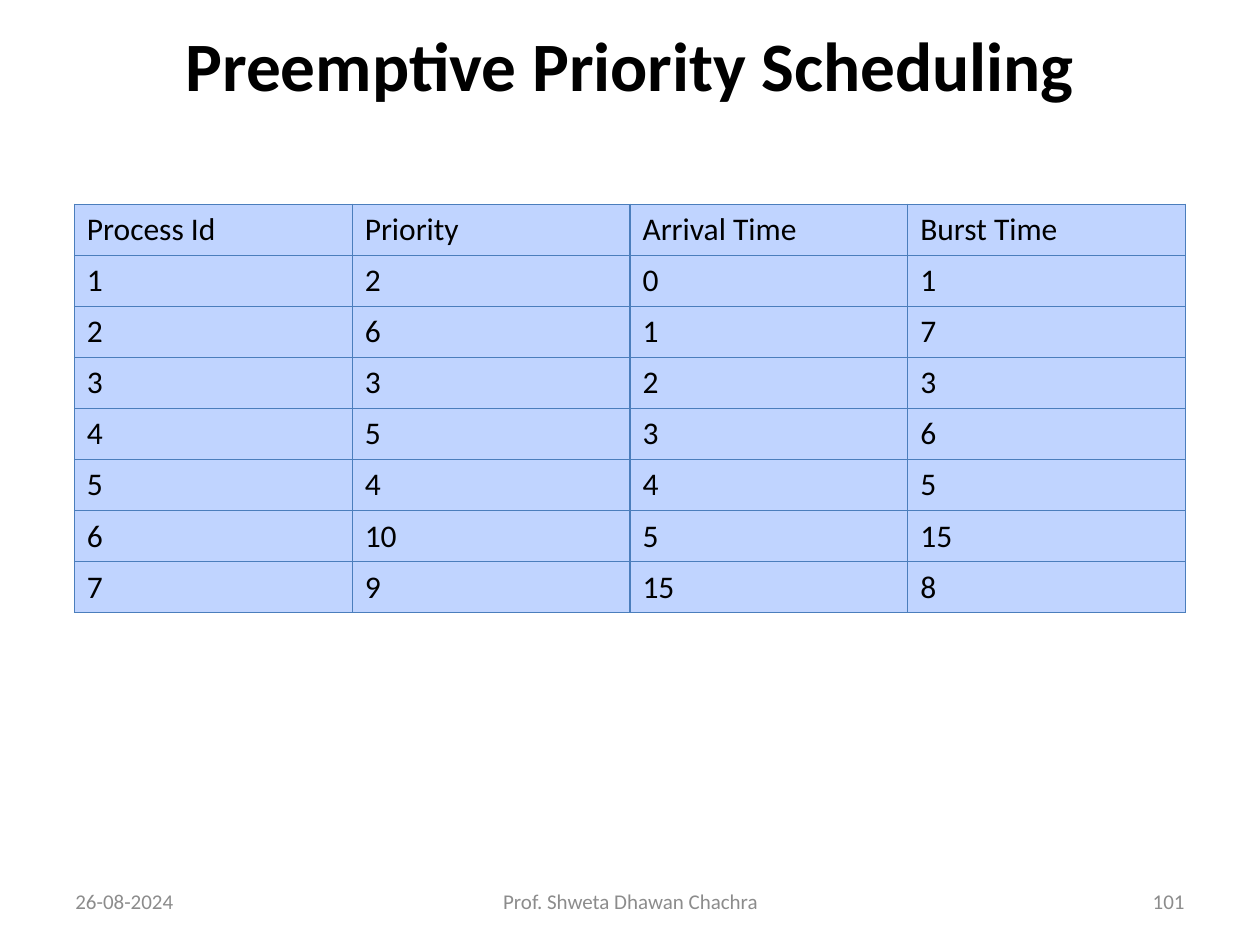
from pptx import Presentation
from pptx.dml.color import RGBColor
from pptx.enum.text import MSO_ANCHOR, PP_ALIGN
from pptx.oxml import parse_xml
from pptx.oxml.ns import nsdecls
from pptx.util import Inches, Pt

LEFT, MID, RIGHT = PP_ALIGN.LEFT, PP_ALIGN.CENTER, PP_ALIGN.RIGHT
MIDDLE = MSO_ANCHOR.MIDDLE
TITLE_ONLY = 5

COLORS = {"ink": "000000", "muted": "8C8C8C", "cell": "C0D4FF", "rule": "4B7EBC"}
FONTS = {
    "title": {"name": "Calibri", "size": Pt(39.6), "bold": True},
    "cell": {"name": "Calibri", "size": Pt(18), "bold": False},
    "foot": {"name": "Calibri", "size": Pt(12), "bold": False},
}
ROWS = [
    ("Process Id", "Priority", "Arrival Time", "Burst Time"),
    (1, 2, 0, 1),
    (2, 6, 1, 7),
    (3, 3, 2, 3),
    (4, 5, 3, 6),
    (5, 4, 4, 5),
    (6, 10, 5, 15),
    (7, 9, 15, 8),
]
FOOTER = [
    ("26-08-2024", 0.5, 2.33, LEFT),
    ("Prof. Shweta Dhawan Chachra", 3.42, 3.17, MID),
    ("101", 7.17, 2.33, RIGHT),
]


class Deck:
    """Holds the style and the current slide."""

    def __init__(self, wide, high):
        self.prs = Presentation()
        self.prs.slide_width, self.prs.slide_height = Inches(wide), Inches(high)
        self.slide = self.prs.slides.add_slide(self.prs.slide_layouts[TITLE_ONLY])

    def put_text(self, frame, text, style, color, align):
        frame.word_wrap = True
        frame.vertical_anchor = MIDDLE
        para = frame.paragraphs[0]
        para.alignment = align
        run = para.add_run()
        run.text = str(text)
        for key, value in FONTS[style].items():
            setattr(run.font, key, value)
        run.font.color.rgb = RGBColor.from_string(COLORS[color])

    def title(self, text, left, top, width, height):
        shape = self.slide.shapes.title
        shape.left, shape.top = Inches(left), Inches(top)
        shape.width, shape.height = Inches(width), Inches(height)
        self.put_text(shape.text_frame, text, "title", "ink", MID)

    def label(self, text, left, top, width, height, align):
        box = self.slide.shapes.add_textbox(
            Inches(left), Inches(top), Inches(width), Inches(height))
        self.put_text(box.text_frame, text, "foot", "muted", align)

    def border(self, cell):
        props = cell._tc.get_or_add_tcPr()
        for index, side in enumerate(("lnL", "lnR", "lnT", "lnB")):
            props.insert(index, parse_xml(
                f'<a:{side} {nsdecls("a")} w="{Pt(0.75)}"><a:solidFill>'
                f'<a:srgbClr val="{COLORS["rule"]}"/></a:solidFill></a:{side}>'))

    def table(self, rows, left, top, width, height):
        grid = self.slide.shapes.add_table(
            len(rows), len(rows[0]), Inches(left), Inches(top),
            Inches(width), Inches(height)).table
        grid.first_row = grid.horz_banding = False
        for r, row in enumerate(rows):
            for c, value in enumerate(row):
                cell = grid.cell(r, c)
                cell.fill.solid()
                cell.fill.fore_color.rgb = RGBColor.from_string(COLORS["cell"])
                cell.vertical_anchor = MIDDLE
                self.put_text(cell.text_frame, value, "cell", "ink", LEFT)
                self.border(cell)


def main():
    deck = Deck(10, 7.5)

    # Heading
    deck.title("Preemptive Priority Scheduling", 0.5, 0.19, 9, 0.63)

    # Process table
    deck.table(ROWS, 0.59, 1.62, 8.82, 3.18)

    # Footer
    for text, left, width, align in FOOTER:
        deck.label(text, left, 6.95, width, 0.4, align)

    deck.prs.save("out.pptx")


if __name__ == "__main__":
    main()
